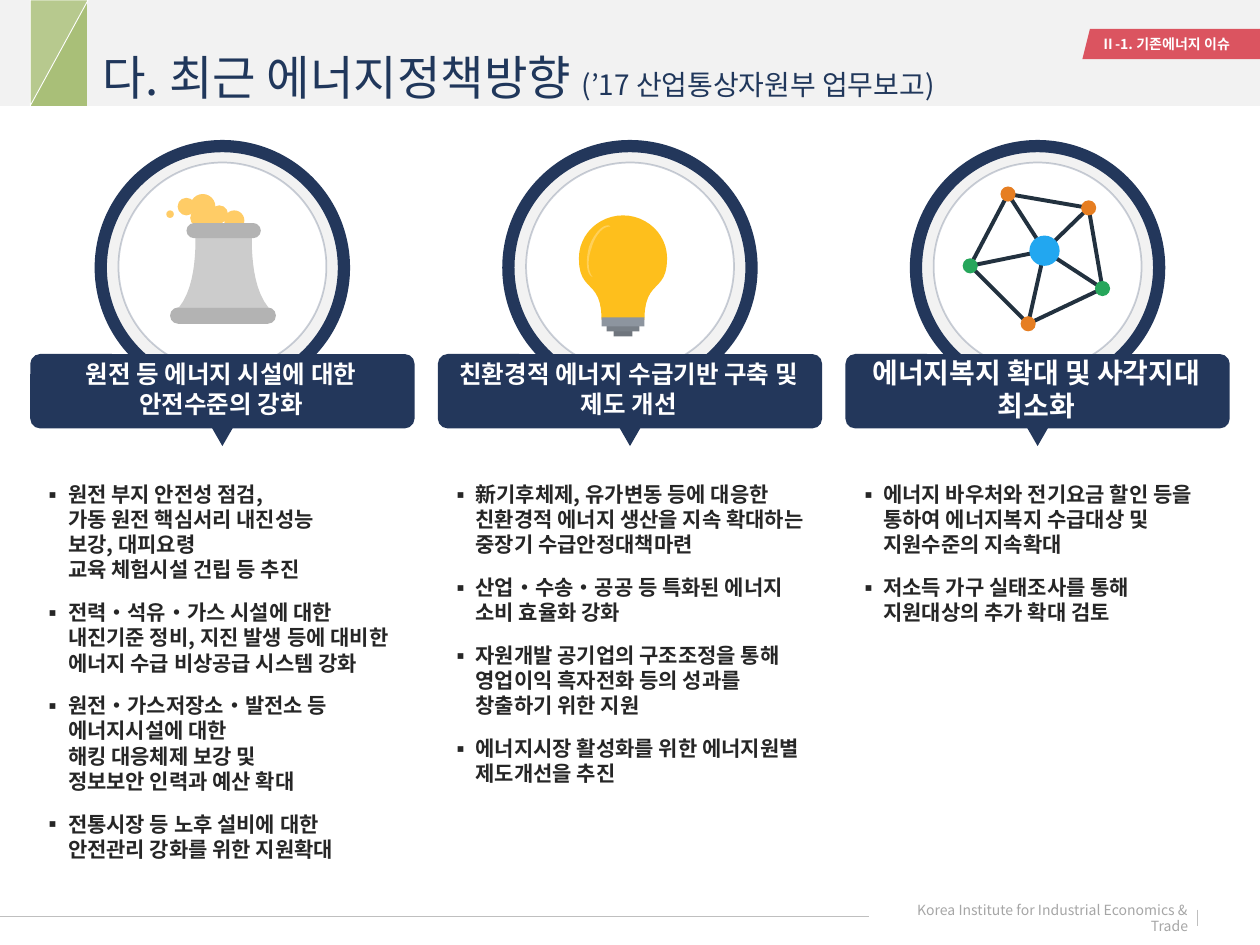
from pptx import Presentation
from pptx import util as u
from pptx.dml import color
from pptx.enum import shapes, text
from pptx.oxml import ns
from lxml import etree

Inches, Pt = u.Inches, u.Pt
FONT = "Noto Sans CJK KR"
COLORS = {
    "band": "F2F2F2", "green": "A9BF78", "white": "FFFFFF", "navy": "23375B",
    "title": "20375B", "red": "DB5460", "body": "262626", "footer": "A6A6A6",
    "rule": "BFBFBF", "steam": "FFCC66", "tower": "CCCCCC", "cap": "B3B3B3",
    "bulb": "FEBF1C", "glare": "FFD059", "socket_1": "8D959F",
    "socket_2": "787F87", "socket_3": "6F757D", "link": "22313F",
    "orange": "E67E22", "leaf": "26A65B", "hub": "22A7F0",
}
COLUMN_WIDTH, COLUMN_GAP, MARGIN = 3.05, 0.185, 0.24
COLUMNS = [
    ("원전 등 에너지 시설에 대한\n안전수준의 강화", 14, [
        "원전 부지 안전성 점검,\n가동 원전 핵심서리 내진성능\n보강, 대피요령\n교육 체험시설 건립 등 추진",
        "전력•석유•가스 시설에 대한\n내진기준 정비, 지진 발생 등에 대비한\n에너지 수급 비상공급 시스템 강화",
        "원전•가스저장소•발전소 등\n에너지시설에 대한\n해킹 대응체제 보강 및\n정보보안 인력과 예산 확대",
        "전통시장 등 노후 설비에 대한\n안전관리 강화를 위한 지원확대"]),
    ("친환경적 에너지 수급기반 구축 및 제도 개선", 14, [
        "新기후체제, 유가변동 등에 대응한 친환경적 에너지 생산을 지속 확대하는 중장기 수급안정대책마련",
        "산업•수송•공공 등 특화된 에너지 소비 효율화 강화",
        "자원개발 공기업의 구조조정을 통해 영업이익 흑자전화 등의 성과를 창출하기 위한 지원",
        "에너지시장 활성화를 위한 에너지원별 제도개선을 추진"]),
    ("에너지복지 확대 및 사각지대 최소화", 16, [
        "에너지 바우처와 전기요금 할인 등을 통하여 에너지복지 수급대상 및 지원수준의 지속확대",
        "저소득 가구 실태조사를 통해 지원대상의 추가 확대 검토"]),
]


def rgb(name):
    return color.RGBColor.from_string(COLORS[name])


def set_alpha(fill_owner, percent):
    for clr in fill_owner.iter(ns.qn("a:srgbClr")):
        etree.SubElement(clr, ns.qn("a:alpha"), val=str(percent * 1000))


def paint(shape, fill, line=None, width=1):
    shape.shadow.inherit = False
    shape.fill.solid()
    shape.fill.fore_color.rgb = rgb(fill)
    if line:
        shape.line.color.rgb = rgb(line)
        shape.line.width = Pt(width)
    else:
        shape.line.fill.background()
    return shape


def add_shape(slide, kind, box, fill, line=None, width=1):
    shape = slide.shapes.add_shape(kind, *map(Inches, box))
    return paint(shape, fill, line, width)


def add_circle(slide, x, y, radius, fill):
    box = (x - radius, y - radius, 2 * radius, 2 * radius)
    return add_shape(slide, shapes.MSO_SHAPE.OVAL, box, fill)


def add_line(slide, start, end, name, width):
    line = slide.shapes.add_connector(shapes.MSO_CONNECTOR.STRAIGHT,
                                      *map(Inches, (*start, *end)))
    line.line.color.rgb = rgb(name)
    line.line.width = Pt(width)
    etree.SubElement(line.element.spPr, ns.qn("a:effectLst"))


def add_outline(slide, left, top, start, steps, fill):
    """Draw an outline of line ends (x, y) and cubic curves (three points)."""
    points = [start]
    for step in steps:
        if len(step) == 2:
            points.append(step)
            continue
        nodes = [points[-1], *step]
        for i in range(1, 13):
            t = i / 12
            weights = ((1 - t) ** 3, 3 * t * (1 - t) ** 2, 3 * t * t * (1 - t), t ** 3)
            points.append(tuple(sum(w * n[axis] for w, n in zip(weights, nodes))
                                for axis in (0, 1)))
    placed = [(Inches(left + x), Inches(top + y)) for x, y in points]
    builder = slide.shapes.build_freeform(*placed[0], scale=1.0)
    builder.add_line_segments(placed[1:], close=True)
    return paint(builder.convert_to_shape(), fill)


def set_font(font, size, name, bold=False):
    font.size, font.bold, font.name = Pt(size), bold, FONT
    font.color.rgb = rgb(name)
    etree.SubElement(font._element, ns.qn("a:ea"), typeface=FONT)


def set_frame(shape, box, anchor, insets=(0.1, 0.05, 0.1, 0.05), wrap=True):
    shape.left, shape.top, shape.width, shape.height = map(Inches, box)
    frame = shape.text_frame
    frame.auto_size, frame.word_wrap = text.MSO_AUTO_SIZE.NONE, wrap
    frame.vertical_anchor = anchor
    (frame.margin_left, frame.margin_top,
     frame.margin_right, frame.margin_bottom) = map(Inches, insets)
    return frame


def add_text(slide, box, content, size, name, align, bold=False, **options):
    shape = slide.shapes.add_textbox(0, 0, 0, 0)
    frame = set_frame(shape, box, text.MSO_ANCHOR.MIDDLE, **options)
    frame.text = content
    for paragraph in frame.paragraphs:
        paragraph.alignment = align
        paragraph.line_spacing = Pt(round(size * 1.2, 1))
        set_font(paragraph.font, size, name, bold)


def build_header(slide, left, top, width, height):
    kinds = shapes.MSO_SHAPE
    add_shape(slide, kinds.RECTANGLE, (left, top, width, height), "band")
    add_shape(slide, kinds.RECTANGLE, (left + 0.24, top, 0.45, height), "green")
    glint = add_outline(slide, left + 0.24, top, (0, 0), [(0.46, 0), (0, height)], "white")
    set_alpha(glint.element.spPr, 17)
    glint.line.color.rgb, glint.line.width = rgb("white"), Pt(0.5)

    # Title, raised above the band
    title = slide.shapes.title
    slide.shapes.element.append(title.element)
    frame = set_frame(title, (left + 0.69, top, 9.08, height),
                      text.MSO_ANCHOR.BOTTOM, (0.12, 0, 0, 0), wrap=False)
    paragraph = frame.paragraphs[0]
    paragraph.alignment, paragraph.line_spacing = text.PP_ALIGN.LEFT, 0.9
    for content, size in (("다. 최근 에너지정책방향 ", 27), ("(’17 산업통상자원부 업무보고)", 16)):
        run = paragraph.add_run()
        run.text = content
        set_font(run.font, size, "title")

    # Section tag
    add_shape(slide, kinds.PARALLELOGRAM, (left + 8.59, top + 0.23, 1.79, 0.24), "red")
    add_text(slide, (left + 8.64, top + 0.23, 1.4, 0.24), "Ⅱ-1. 기존에너지 이슈",
             8, "white", text.PP_ALIGN.LEFT, bold=True)


def draw_tower(slide, x, y):
    for cx, cy, radius in ((0.55, 0.54, 0.03), (0.68, 0.48, 0.07), (0.81, 0.48, 0.1),
                           (0.78, 0.57, 0.07), (0.94, 0.54, 0.07), (0.89, 0.59, 0.08),
                           (1.06, 0.59, 0.08)):
        add_circle(slide, x + cx, y + cy, radius, "steam")
    add_outline(slide, x, y, (0.75, 0.7), [
        ((0.75, 0.73), (0.77, 1.1), (0.62, 1.28)), (1.33, 1.28),
        ((1.18, 1.1), (1.2, 0.73), (1.2, 0.7))], "tower")
    for box in ((0.55, 1.28, 0.84, 0.13), (0.68, 0.61, 0.59, 0.12)):
        cap = add_shape(slide, shapes.MSO_SHAPE.ROUNDED_RECTANGLE,
                        (x + box[0], y + box[1], *box[2:]), "cap")
        cap.adjustments[0] = 0.5


def draw_bulb(slide, x, y):
    add_outline(slide, x, y, (0.91, 0.55), [
        ((1.1, 0.55), (1.26, 0.7), (1.26, 0.89)),
        ((1.26, 1.17), (1.08, 1.05), (1.08, 1.38)), (0.74, 1.38),
        ((0.74, 1.05), (0.56, 1.17), (0.56, 0.89)),
        ((0.56, 0.7), (0.72, 0.55), (0.91, 0.55))], "bulb")
    for width, top, height, name in ((0.15, 1.46, 0.05, "socket_3"),
                                     (0.26, 1.41, 0.06, "socket_2"),
                                     (0.34, 1.36, 0.07, "socket_1")):
        add_shape(slide, shapes.MSO_SHAPE.RECTANGLE,
                  (x + 0.91 - width / 2, y + top, width, height), name)
    add_outline(slide, x, y, (0.66, 0.81), [
        ((0.69, 0.7), (0.76, 0.63), (0.81, 0.64)), (0.8, 0.63),
        ((0.75, 0.62), (0.68, 0.69), (0.64, 0.8)),
        ((0.61, 0.92), (0.62, 1.02), (0.67, 1.04)),
        ((0.64, 1.01), (0.62, 0.92), (0.66, 0.81))], "glare")


def draw_network(slide, x, y):
    nodes = [(x + dx, y + dy) for dx, dy in
             ((0.73, 0.38), (1.37, 0.49), (1.48, 1.13), (0.89, 1.41), (0.43, 0.95))]
    hub = (x + 1.02, y + 0.83)
    for node, following in zip(nodes, nodes[1:] + nodes[:1]):
        add_line(slide, node, following, "link", 2.25)
        add_line(slide, node, hub, "link", 2.25)
    for node, name in zip(nodes, ("orange", "orange", "leaf", "orange", "leaf")):
        add_circle(slide, *node, 0.06, name)
    add_circle(slide, *hub, 0.12, "hub")


def fill_list(placeholder, box, items):
    frame = set_frame(placeholder, box, text.MSO_ANCHOR.TOP)
    for index, item in enumerate(items):
        paragraph = frame.add_paragraph() if index else frame.paragraphs[0]
        paragraph.text = item
        paragraph.level = 2
        properties = paragraph._p.get_or_add_pPr()
        properties.set("marL", str(Inches(0.2)))
        properties.set("indent", str(Inches(-0.2)))
        etree.SubElement(properties, ns.qn("a:buFont"), typeface=FONT)
        etree.SubElement(properties, ns.qn("a:buChar"), char="▪")
        tabs = etree.SubElement(properties, ns.qn("a:tabLst"))
        etree.SubElement(tabs, ns.qn("a:tab"), pos=str(Inches(0.2)), algn="l")
        paragraph.alignment = text.PP_ALIGN.LEFT
        paragraph.line_spacing = Pt(14.4)
        paragraph.space_before = Pt(10 if index else 0)
        set_font(paragraph.font, 12, "body", bold=True)


def build_column(slide, left, top, width, column, placeholder, draw_icon):
    heading, size, items = column
    kinds, center = shapes.MSO_SHAPE, left + width / 2

    # Ringed icon
    add_shape(slide, kinds.OVAL, (center - 0.965, top, 1.93, 1.93), "band", "navy", 7)
    disc = add_shape(slide, kinds.OVAL, (center - 0.825, top + 0.13, 1.65, 1.65),
                     "white", "navy")
    set_alpha(disc.element.spPr.find(ns.qn("a:ln")), 23)
    draw_icon(slide, center - 0.965, top)

    # Banner with pointer
    banner = add_shape(slide, kinds.ROUNDED_RECTANGLE, (left, top + 1.65, width, 0.59), "navy")
    banner.adjustments[0] = 0.132
    pointer = add_shape(slide, kinds.ISOSCELES_TRIANGLE,
                        (center - 0.115, top + 2.18, 0.23, 0.2), "navy")
    pointer.rotation = 180
    add_text(slide, (left + 0.06, top + 1.69, 2.91, 0.47), heading, size, "white",
             text.PP_ALIGN.CENTER, bold=True)

    fill_list(placeholder, (left, top + 2.61, width, 3.15), items)


def build_footer(slide, left, top, width):
    add_text(slide, (left + width - 3.04, top, 2.47, 0.13),
             "Korea Institute for Industrial Economics & Trade", 8, "footer",
             text.PP_ALIGN.RIGHT, insets=(0, 0, 0, 0))
    add_line(slide, (left, top + 0.05), (left + 6.9, top + 0.05), "rule", 0.5)
    add_line(slide, (left + 9.5, top), (left + 9.5, top + 0.13), "rule", 0.5)


def main():
    presentation = Presentation()
    presentation.slide_width, presentation.slide_height = Inches(10), Inches(7.5)
    slide = presentation.slides.add_slide(presentation.slide_layouts[4])
    bodies = [shape for shape in slide.placeholders if shape.placeholder_format.idx in (1, 2, 3, 4)]
    spare = bodies.pop().element
    spare.getparent().remove(spare)

    build_header(slide, 0, 0, 10, 0.84)
    icons = (draw_tower, draw_bulb, draw_network)
    for index, (column, body, icon) in enumerate(zip(COLUMNS, bodies, icons)):
        left = MARGIN + index * (COLUMN_WIDTH + COLUMN_GAP)
        build_column(slide, left, 1.16, COLUMN_WIDTH, column, body, icon)
    build_footer(slide, 0, 7.22, 10)
    presentation.save("out.pptx")


if __name__ == "__main__":
    main()
